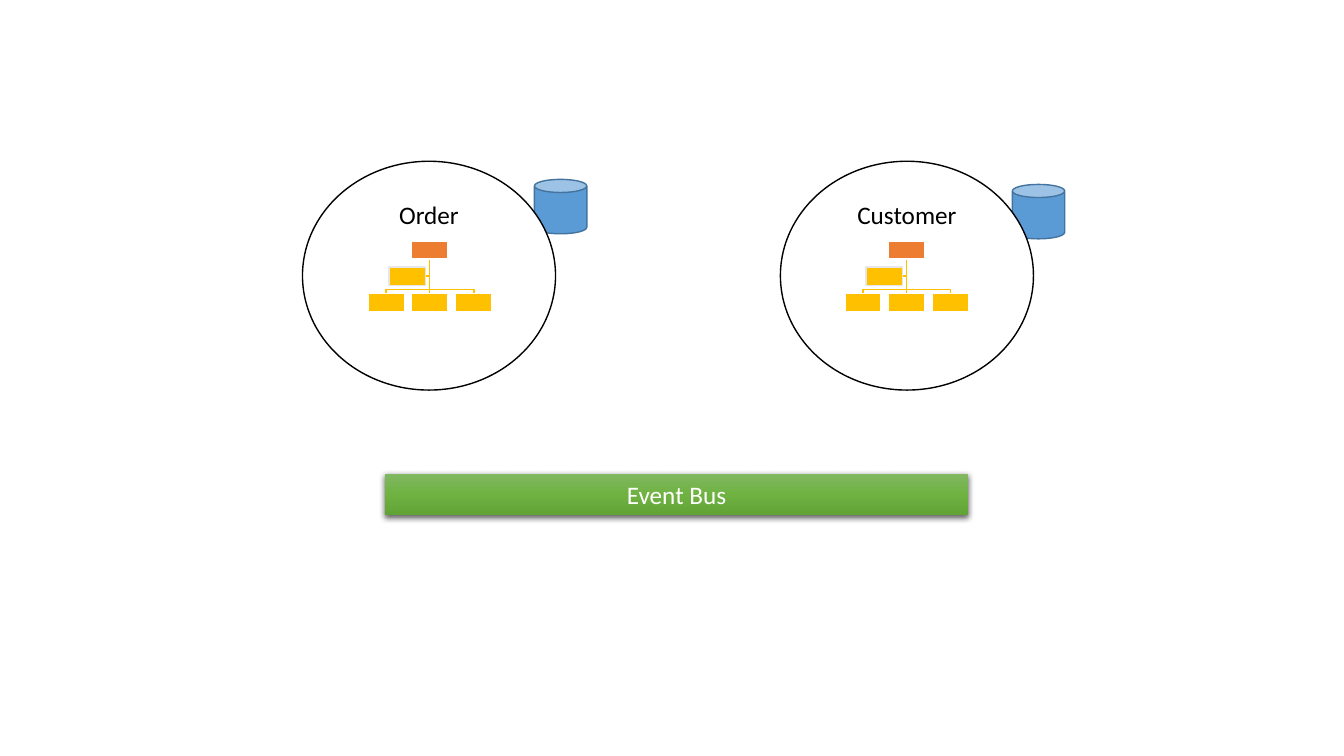
from copy import deepcopy

from lxml.etree import SubElement
from pptx import Presentation
from pptx.dml.color import RGBColor
from pptx.enum.shapes import MSO_SHAPE
from pptx.enum.text import MSO_ANCHOR, PP_ALIGN
from pptx.oxml.ns import qn
from pptx.util import Pt

PX = 9144  # 100 px to the inch
BLACK, WHITE, BLUE, NAVY = "000000", "FFFFFF", "5B9BD5", "43739E"
ORANGE, GOLD, PALE = "ED7D31", "FFC000", "E7E7E7"


def color(value):
    return RGBColor.from_string(value)


def add_part(shapes, kind, box, fill, line, text="", ink=BLACK, anchor=MSO_ANCHOR.TOP):
    part = shapes.add_shape(kind, *(length * PX for length in box))
    part.shadow.inherit = False
    part.fill.solid()
    part.fill.fore_color.rgb = color(fill)
    if line:
        part.line.color.rgb = color(line)
        part.line.width = Pt(1)
    else:
        part.line.fill.background()
    if text:
        part.text_frame.text = text
        part.text_frame.vertical_anchor = anchor
        para = part.text_frame.paragraphs[0]
        para.alignment = PP_ALIGN.CENTER
        font = para.runs[0].font
        font.name, font.size = "Calibri", Pt(18)
        font.color.rgb = color(ink)
    return part


deck = Presentation()
deck.slide_width, deck.slide_height = 1333 * PX, 750 * PX
page = deck.slides.add_slide(deck.slide_layouts[6])

# Services: name, circle left, database top, middle of the hierarchy
services = [("Customer", 774, 183, 899), ("Order", 300, 178, 426)]
for name, left, database_top, middle in services:
    add_part(page.shapes, MSO_SHAPE.CAN, (left + 230, database_top, 52, 54), BLUE, NAVY)
    add_part(page.shapes, MSO_SHAPE.OVAL, (left, 160, 251, 227), WHITE, BLACK, name)

    # Hierarchy lines
    hierarchy = page.shapes.add_group_shape().shapes
    leaves = [middle - 43, middle, middle + 44]
    routes = [[(middle, 274), (middle - 4, 274)]]
    routes += [[(middle, 287), (leaf, 287), (leaf, 291)] for leaf in leaves]
    for route in routes:
        builder = hierarchy.build_freeform(middle, 257, scale=PX)
        builder.add_line_segments(route, close=False)
        branch = builder.convert_to_shape()
        branch.shadow.inherit = False
        branch.fill.background()
        branch.line.color.rgb = color(GOLD)
        branch.line.width = Pt(1)

    # Hierarchy boxes: middle, top, fill, line
    boxes = [(middle, 239, ORANGE, WHITE)]
    boxes += [(leaf, 291, GOLD, WHITE) for leaf in leaves]
    boxes += [(middle - 22, 265, GOLD, PALE)]
    for center, top, fill, line in boxes:
        add_part(hierarchy, MSO_SHAPE.RECTANGLE, (center - 18, top, 36, 18), fill, line)

# Event bus with gradient
bus = add_part(page.shapes, MSO_SHAPE.RECTANGLE, (382, 470, 578, 41), GOLD, None,
               "Event Bus", WHITE, MSO_ANCHOR.MIDDLE)
bus.fill.gradient()
bus.fill.gradient_angle = 270
properties = bus._element.spPr
stop_list = properties.find(".//" + qn("a:gsLst"))
stop_list.append(deepcopy(stop_list[-1]))
bus_stops = [(0, "81B861"), (0.5, "6FB242"), (1, "62A336")]
for stop, (position, shade) in zip(bus.fill.gradient_stops, bus_stops):
    stop.position = position
    stop.color.rgb = color(shade)

# Event bus shadow
shadow = SubElement(properties.find(qn("a:effectLst")), qn("a:outerShdw"),
                    blurRad=str(Pt(4.5)), dist=str(Pt(1.5)), dir="5400000",
                    algn="ctr", rotWithShape="0")
shadow_color = SubElement(shadow, qn("a:srgbClr"), val=BLACK)
SubElement(shadow_color, qn("a:alpha"), val="63000")

deck.save("out.pptx")
